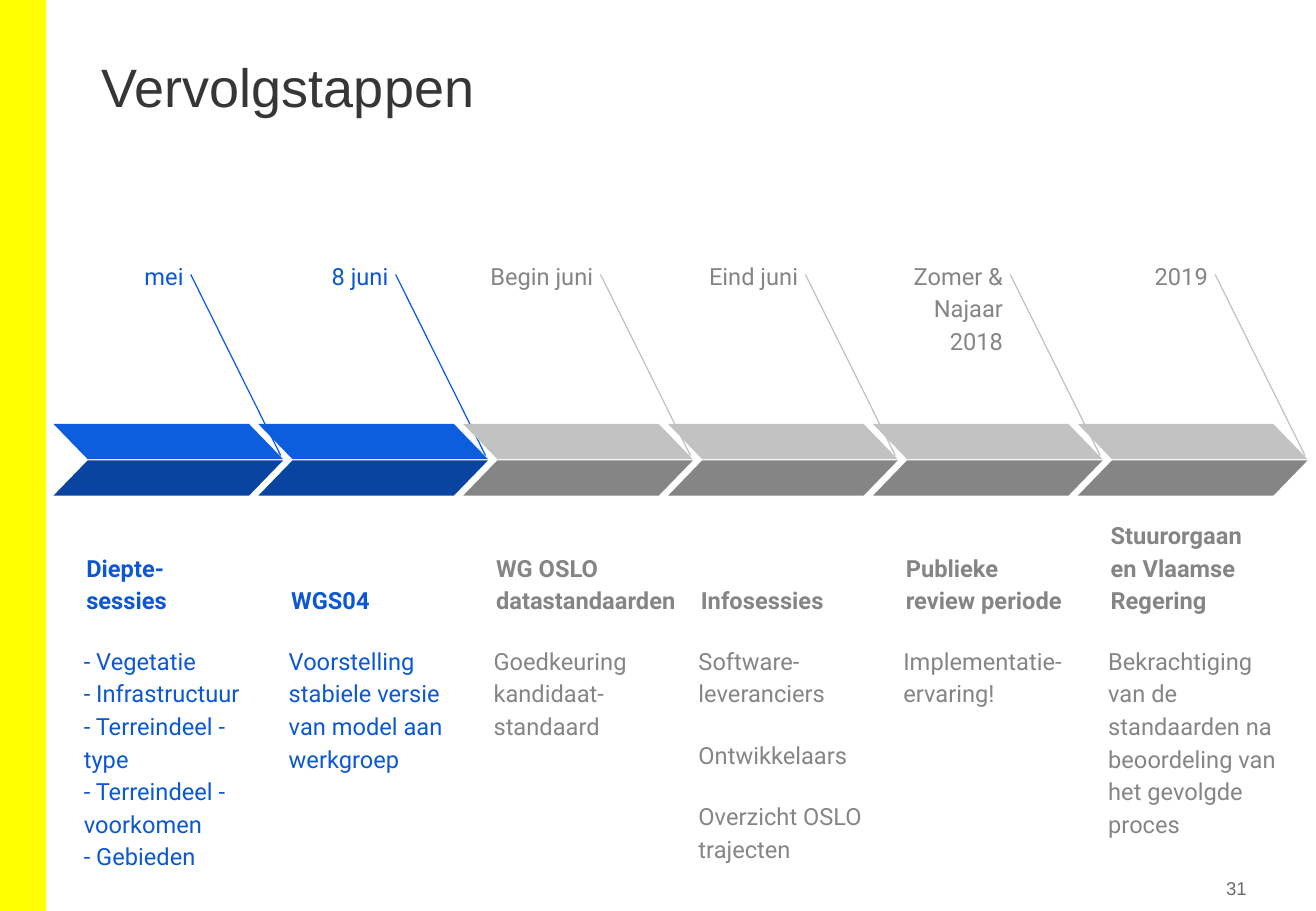
import pptx
import pptx.dml.color
import pptx.enum.shapes
import pptx.enum.text
import pptx.oxml.ns
import pptx.util
from dataclasses import dataclass
from lxml import etree
from pptx.util import Inches

RGBColor = pptx.dml.color.RGBColor
Align = pptx.enum.text.PP_ALIGN
Anchor = pptx.enum.text.MSO_ANCHOR
Shapes = pptx.enum.shapes.MSO_SHAPE

WHITE = RGBColor(0xFF, 0xFF, 0xFF)
YELLOW = RGBColor(0xFF, 0xFF, 0x00)
TITLE_GREY = RGBColor(0x37, 0x36, 0x36)
NUMBER_GREY = RGBColor(0x6B, 0x6B, 0x6B)
BLUE_TEXT = RGBColor(0x0C, 0x58, 0xD3)
BLUE = RGBColor(0x0D, 0x5D, 0xDF)
DARK_BLUE = RGBColor(0x09, 0x44, 0xA1)
GREY = RGBColor(0x85, 0x85, 0x85)
LIGHT_GREY = RGBColor(0xC2, 0xC2, 0xC2)

# Text, upper and lower arrow colours
ACTIVE = (BLUE_TEXT, BLUE, DARK_BLUE)
UPCOMING = (GREY, LIGHT_GREY, GREY)

FIRST_LEFT = 0.44
STEP_PITCH = 1.686


@dataclass
class Step:
    date: str
    heading: str
    details: list
    colours: tuple = UPCOMING
    heading_width: float = 1.55


STEPS = [
    Step("mei", "Diepte-\nsessies",
         ["- Vegetatie \n- Infrastructuur \n- Terreindeel - type \n"
          "- Terreindeel - voorkomen\n- Gebieden"], ACTIVE),
    Step("8 juni", "WGS04",
         ["Voorstelling stabiele versie van model aan werkgroep"], ACTIVE),
    Step("Begin juni", "WG OSLO datastandaarden",
         ["Goedkeuring kandidaat-\nstandaard"], heading_width=1.71),
    Step("Eind juni", "Infosessies",
         ["Software-\nleveranciers", "Ontwikkelaars", "Overzicht OSLO trajecten"]),
    Step("Zomer & Najaar 2018", "Publieke review periode",
         ["Implementatie-\nervaring!"]),
    Step("2019", "Stuurorgaan en Vlaamse Regering",
         ["Bekrachtiging van de standaarden na beoordeling van het gevolgde proces"]),
]


def add_text(slide, left, top, width, height, paragraphs, colour, size=14,
             font="Roboto", bold=False, align=Align.LEFT, anchor=Anchor.TOP,
             inset=0.11, line_spacing=1.15):
    box = slide.shapes.add_textbox(Inches(left), Inches(top), Inches(width), Inches(height))
    frame = box.text_frame
    frame.word_wrap = True
    frame.vertical_anchor = anchor
    frame.margin_left = frame.margin_right = Inches(inset)
    frame.margin_top = frame.margin_bottom = Inches(inset)
    for index, text in enumerate(paragraphs):
        paragraph = frame.add_paragraph() if index else frame.paragraphs[0]
        paragraph.alignment = align
        paragraph.line_spacing = line_spacing
        if index:
            paragraph.space_before = pptx.util.Pt(17)
        for line_index, line in enumerate(text.split("\n")):
            if line_index:
                paragraph.add_line_break()
            run = paragraph.add_run()
            run.text = line
            run.font.name = font
            run.font.size = pptx.util.Pt(size)
            run.font.bold = bold
            run.font.color.rgb = colour


def add_filled_shape(slide, kind, left, top, width, height, colour):
    shape = slide.shapes.add_shape(
        kind, Inches(left), Inches(top), Inches(width), Inches(height))
    shape.shadow.inherit = False
    shape.fill.solid()
    shape.fill.fore_color.rgb = colour
    shape.line.fill.background()
    return shape


def add_arrow_half(slide, left, top, colour, flipped=False):
    half = add_filled_shape(slide, Shapes.PARALLELOGRAM, left, top, 1.89, 0.29, colour)
    half.adjustments[0] = 0.97
    if flipped:
        half._element.spPr.get_or_add_xfrm().set("flipH", "1")


def add_leader(slide, left, colour):
    leader = slide.shapes.add_connector(
        pptx.enum.shapes.MSO_CONNECTOR.STRAIGHT,
        Inches(left), Inches(2.26), Inches(left + 0.74), Inches(3.75))
    leader.line.color.rgb = colour
    leader.line.width = pptx.util.Pt(0.75)
    etree.SubElement(leader._element.spPr, pptx.oxml.ns.qn("a:effectLst"))


def add_step(slide, left, step):
    text_colour, upper_colour, lower_colour = step.colours
    add_text(slide, left, 2.01, 1.18, 0.48, [step.date], text_colour, align=Align.RIGHT)
    add_text(slide, left + 0.16, 4.27, step.heading_width, 0.9, [step.heading],
             text_colour, bold=True, anchor=Anchor.BOTTOM)
    add_text(slide, left + 0.14, 5.18, 1.75, 1.48, step.details, text_colour)
    add_leader(slide, left + 1.13, upper_colour)
    add_arrow_half(slide, left, 3.49, upper_colour, flipped=True)
    add_arrow_half(slide, left, 3.79, lower_colour)


def main():
    presentation = pptx.Presentation()
    presentation.slide_width = Inches(10.83)
    presentation.slide_height = Inches(7.5)
    slide = presentation.slides.add_slide(presentation.slide_layouts[6])
    slide.background.fill.solid()
    slide.background.fill.fore_color.rgb = WHITE

    # Side band, title and page number
    add_filled_shape(slide, Shapes.RECTANGLE, 0, 0, 0.38, 7.5, YELLOW)
    add_text(slide, 0.74, 0.4, 9.34, 1.08, ["Vervolgstappen"], TITLE_GREY,
             size=32, font="Arial", inset=0.1, line_spacing=0.9)
    add_text(slide, 9.5, 7.17, 0.81, 0.29, ["31"], NUMBER_GREY, size=11, font="Arial",
             align=Align.RIGHT, anchor=Anchor.MIDDLE, inset=0.05, line_spacing=1.0)

    # Timeline
    for index, step in enumerate(STEPS):
        add_step(slide, FIRST_LEFT + index * STEP_PITCH, step)

    presentation.save("out.pptx")


if __name__ == "__main__":
    main()
